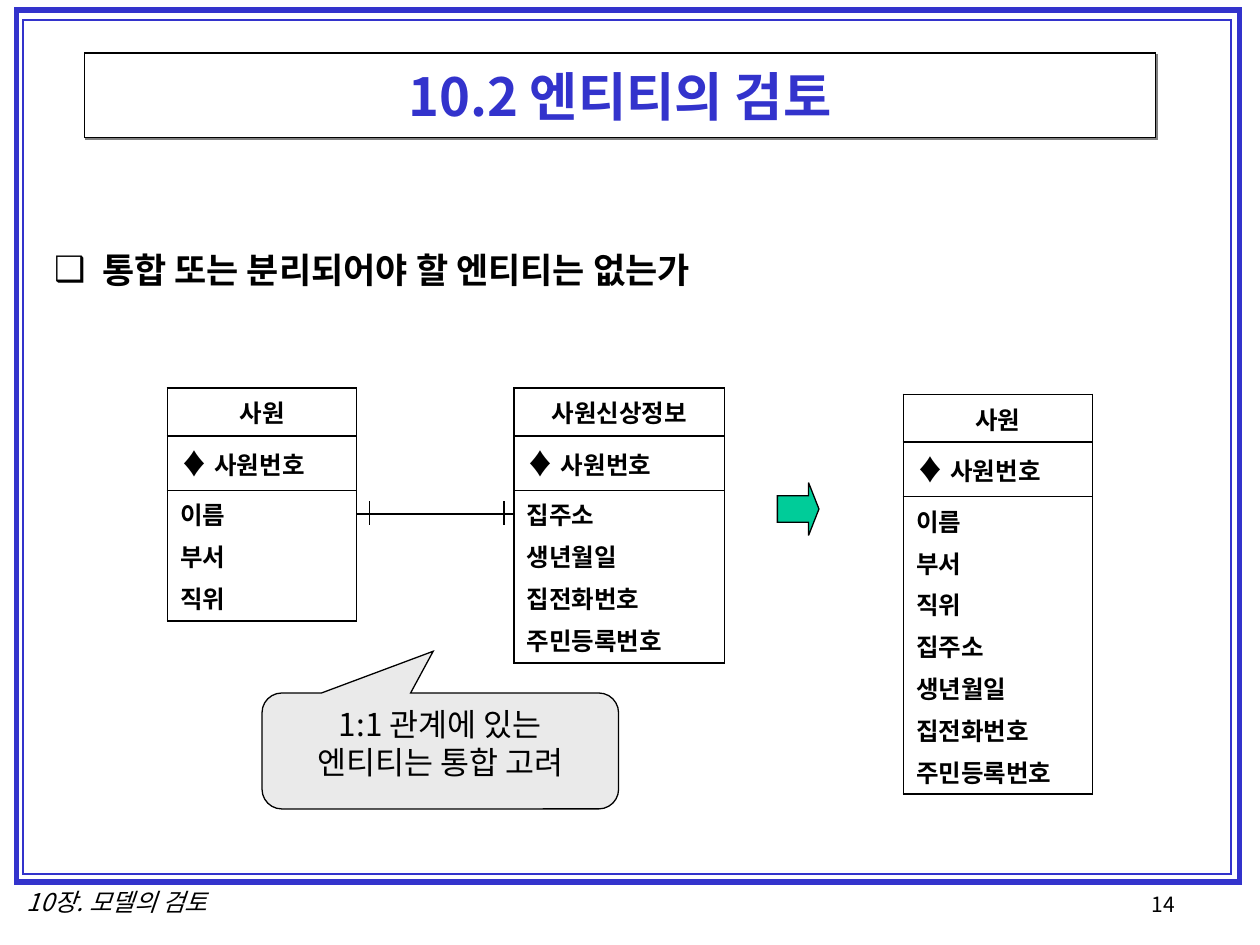
from lxml import etree
from pptx import Presentation
from pptx.dml.color import RGBColor
from pptx.enum import shapes, text
from pptx.oxml.ns import qn
from pptx.util import Inches, Pt

# Content
TITLE = "10.2 엔티티의 검토"
QUESTION = "통합 또는 분리되어야 할 엔티티는 없는가"
CALLOUT = ["1:1 관계에 있는", "엔티티는 통합 고려"]
FOOTER, PAGE = "10장. 모델의 검토", "14"
KEY = "사원번호"
STAFF = ["이름", "부서", "직위"]
PERSONAL = ["집주소", "생년월일", "집전화번호", "주민등록번호"]
ENTITIES = [  # name, left, top, width, attributes
    ("사원", 1.33, 3.08, 1.5, STAFF),
    ("사원신상정보", 4.08, 3.08, 1.67, PERSONAL),
    ("사원", 7.17, 3.13, 1.5, STAFF + PERSONAL),
]
NAME_HEIGHT, KEY_HEIGHT, ATTRIBUTE_HEIGHT, ATTRIBUTE_MARGIN = 0.38, 0.43, 0.33, 0.05
FRAMES = [(0.13, 0.08, 9.71, 6.92, 3), (0.18, 0.16, 9.59, 6.78, 1)]
RELATION_Y, TICK_TOP, TICK_BOTTOM = 4.08, 3.98, 4.17
RELATION = [  # start and end of the line, then its two "one" ticks
    (2.83, RELATION_Y, 4.08, RELATION_Y),
    (2.93, TICK_TOP, 2.93, TICK_BOTTOM),
    (4, TICK_TOP, 4, TICK_BOTTOM),
]

THEME = {
    "font": "Noto Sans CJK KR", "symbol": "Arial",
    "ink": "000000", "blue": "3333CC", "white": "FFFFFF",
    "callout": "EAEAEA", "arrow": "00CC99", "shadow": "808080",
    "title": 30, "question": 20, "note": 18, "mark": 16, "entity": 14, "page": 12,
    "line": 0.75, "border": 1.08, "thin": 0.45,
}


def color(name):
    return RGBColor.from_string(THEME[name])


def child(parent, tag, **attributes):
    return etree.SubElement(parent, qn(tag), attributes)


def add_run(paragraph, words, size, ink="ink", font="font", bold=False, italic=False):
    run = paragraph.add_run()
    run.text = words
    run.font.size = Pt(THEME[size])
    run.font.name = THEME[font]
    run.font.bold, run.font.italic = bold, italic
    run.font.color.rgb = color(ink)
    run.font._element.find(qn("a:latin")).addnext(
        run.font._element.makeelement(qn("a:ea"), {"typeface": THEME["font"]}))


def place(shape, left, top, width, height):
    shape.left, shape.top = Inches(left), Inches(top)
    shape.width, shape.height = Inches(width), Inches(height)


def style(shape, fill=None, line="ink", weight=THEME["line"]):
    if fill:
        shape.fill.solid()
        shape.fill.fore_color.rgb = color(fill)
    else:
        shape.fill.background()
    shape.line.color.rgb = color(line)
    shape.line.width = Pt(weight)
    child(shape.line._get_or_add_ln(), "a:miter", lim="800000")
    shape.shadow.inherit = False


def add_shape(slide, kind, box, **look):
    shape = slide.shapes.add_shape(kind, *map(Inches, box))
    style(shape, **look)
    return shape


def add_label(slide, box, words, size, align, italic=False):
    frame = slide.shapes.add_textbox(*map(Inches, box)).text_frame
    frame.word_wrap = False
    frame.auto_size = text.MSO_AUTO_SIZE.SHAPE_TO_FIT_TEXT
    frame.paragraphs[0].alignment = align
    add_run(frame.paragraphs[0], words, size, italic=italic)


def paragraphs(frame, count):
    return [frame.paragraphs[0]] + [frame.add_paragraph() for _ in range(count - 1)]


def set_borders(cell, top, bottom):
    properties = cell._tc.get_or_add_tcPr()
    sides = {"a:lnL": "border", "a:lnR": "border", "a:lnT": top, "a:lnB": bottom}
    for tag, weight in sides.items():
        line = child(properties, tag, w=str(Pt(THEME[weight])))
        child(child(line, "a:solidFill"), "a:srgbClr", val=THEME["ink"])


def add_entity(slide, name, left, top, width, attributes):
    heights = [NAME_HEIGHT, KEY_HEIGHT,
               ATTRIBUTE_MARGIN + ATTRIBUTE_HEIGHT * len(attributes)]
    table = slide.shapes.add_table(
        3, 1, *map(Inches, (left, top, width, sum(heights)))).table
    table.first_row = table.horz_banding = False
    edges = [("border", "border"), ("border", "thin"), ("thin", "border")]
    rows = [[name], [KEY], attributes]
    for index, (height, edge, lines) in enumerate(zip(heights, edges, rows)):
        table.rows[index].height = Inches(height)
        cell = table.cell(index, 0)
        set_borders(cell, *edge)
        cell.fill.background()
        for paragraph, words in zip(paragraphs(cell.text_frame, len(lines)), lines):
            paragraph.space_before = Pt(3.5)
            if index == 0:
                paragraph.alignment = text.PP_ALIGN.CENTER
            if index == 1:
                add_run(paragraph, "♦ ", "mark", font="symbol", bold=True)
            add_run(paragraph, words, "entity", bold=True)


def add_line(slide, *ends):
    line = slide.shapes.add_connector(
        shapes.MSO_CONNECTOR.STRAIGHT, *map(Inches, ends))
    line.line.color.rgb = color("ink")
    line.line.width = Pt(THEME["line"])
    child(line._element.spPr, "a:effectLst")


def fill_title(title):
    place(title, 0.67, 0.42, 8.5, 0.67)
    style(title, fill="white")
    effects = title._element.spPr.find(qn("a:effectLst"))
    shadow = child(effects, "a:outerShdw", dist=str(Pt(1.4)), dir=str(45 * 60000),
                   algn="ctr", rotWithShape="0")
    child(shadow, "a:srgbClr", val=THEME["shadow"])
    frame = title.text_frame
    frame.auto_size = text.MSO_AUTO_SIZE.NONE
    frame.vertical_anchor = text.MSO_ANCHOR.MIDDLE
    frame.paragraphs[0].alignment = text.PP_ALIGN.CENTER
    add_run(frame.paragraphs[0], TITLE, "title", ink="blue", bold=True)


def fill_body(body):
    place(body, 0.33, 1.92, 9.27, 4.87)
    body.text_frame.auto_size = text.MSO_AUTO_SIZE.NONE
    paragraph = body.text_frame.paragraphs[0]
    paragraph.space_before = Pt(5)
    properties = paragraph._p.get_or_add_pPr()
    properties.set("marL", str(Inches(0.38)))
    properties.set("indent", str(Inches(-0.38)))
    child(child(properties, "a:buClr"), "a:srgbClr", val=THEME["ink"])
    child(properties, "a:buFont", typeface=THEME["symbol"])
    child(properties, "a:buChar", char="❑")
    add_run(paragraph, QUESTION, "question", bold=True)


def main():
    presentation = Presentation()
    presentation.slide_width, presentation.slide_height = Inches(10), Inches(7.5)
    slide = presentation.slides.add_slide(presentation.slide_layouts[1])
    fill_title(slide.shapes.title)
    fill_body(slide.placeholders[1])

    # Double page frame, footer and page number
    for *box, weight in FRAMES:
        add_shape(slide, shapes.MSO_SHAPE.RECTANGLE, box, line="blue", weight=weight)
    add_label(slide, (9.04, 7.03, 1.02, 0.33), PAGE, "page", text.PP_ALIGN.LEFT)
    add_label(slide, (0.04, 6.99, 1.78, 0.34), FOOTER, "entity",
              text.PP_ALIGN.CENTER, italic=True)

    # Entities and their one-to-one relation
    for entity in ENTITIES:
        add_entity(slide, *entity)
    for ends in RELATION:
        add_line(slide, *ends)

    # Callout
    callout = add_shape(slide, shapes.MSO_SHAPE.ROUNDED_RECTANGULAR_CALLOUT,
                        (2.08, 5.5, 2.83, 0.92), fill="callout")
    for index, value in enumerate((-0.02, -0.86, 0.17)):
        callout.adjustments[index] = value
    callout.text_frame.vertical_anchor = text.MSO_ANCHOR.TOP
    for paragraph, words in zip(paragraphs(callout.text_frame, len(CALLOUT)), CALLOUT):
        paragraph.alignment = text.PP_ALIGN.CENTER
        add_run(paragraph, words, "note")

    # Arrow to the merged entity
    arrow = add_shape(slide, shapes.MSO_SHAPE.RIGHT_ARROW,
                      (6.17, 3.83, 0.33, 0.42), fill="arrow")
    arrow.adjustments[0], arrow.adjustments[1] = 0.5, 0.25

    presentation.save("out.pptx")


if __name__ == "__main__":
    main()
